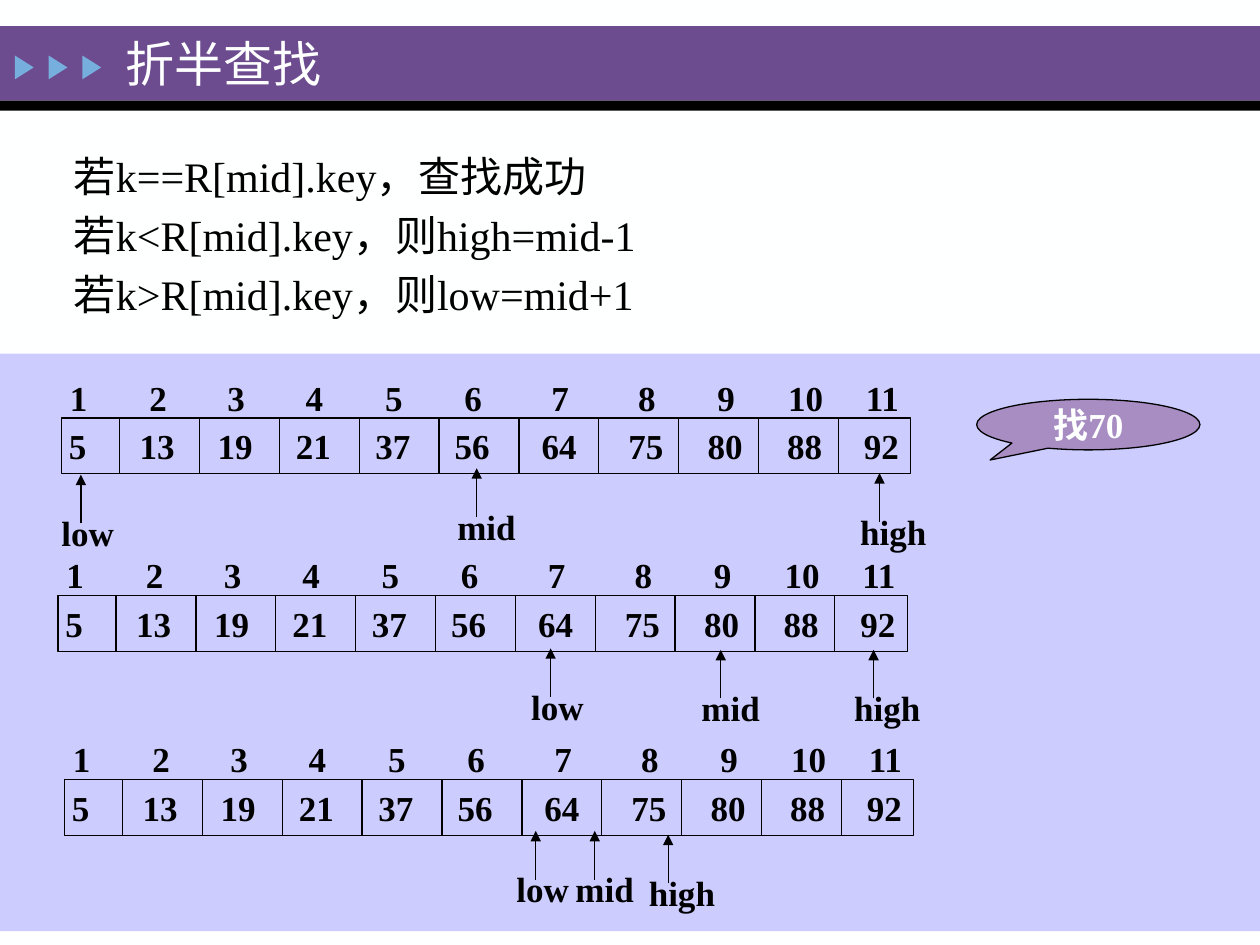
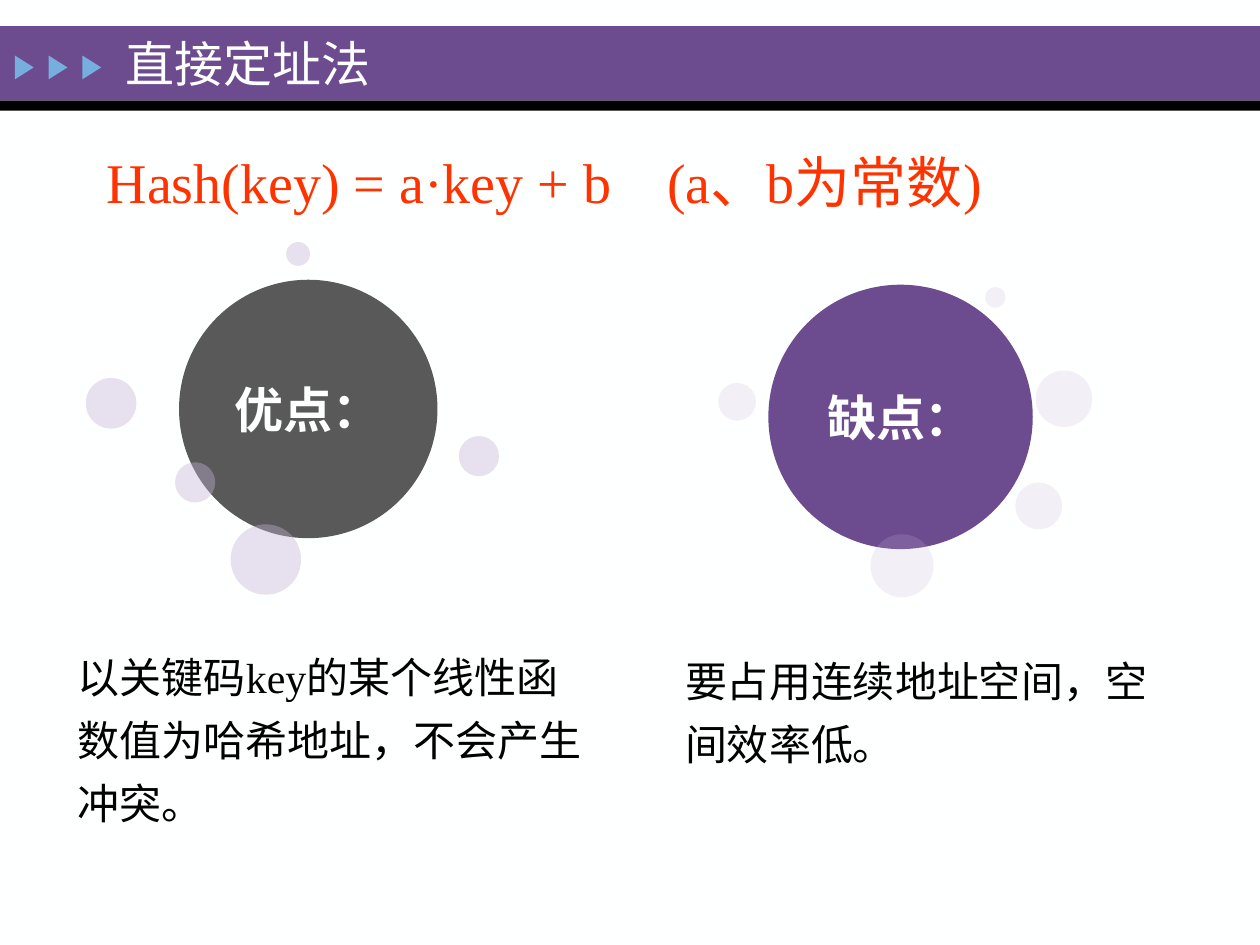
from lxml.etree import SubElement
from pptx import Presentation
from pptx.dml.color import RGBColor
from pptx.enum.shapes import MSO_CONNECTOR, MSO_SHAPE as SHAPE
from pptx.enum.text import MSO_ANCHOR as ANCHOR, PP_ALIGN as ALIGN
from pptx.oxml.ns import qn
from pptx.util import Cm, Pt

# Content
SEARCH_TITLE = "折半查找"
RULES = [
    "若k==R[mid].key，查找成功",
    "若k<R[mid].key，则high=mid-1",
    "若k>R[mid].key，则low=mid+1",
]
KEYS = [5, 13, 19, 21, 37, 56, 64, 75, 80, 88, 92]
SOUGHT = "找70"
# Each step: left and top of the cells, then left and top of each pointer label
STEPS = [
    ((1.24, 8.43), {"low": (0.99, 10.19), "high": (17.09, 10.16), "mid": (8.97, 10.06)}),
    ((1.17, 12.01), {"low": (10.46, 13.69), "high": (16.97, 13.72), "mid": (13.89, 13.72)}),
    ((1.3, 15.72), {"low": (10.16, 17.37), "high": (12.83, 17.45), "mid": (11.35, 17.37)}),
]

HASH_TITLE = "直接定址法"
FORMULA = "Hash(key) = a·key + b\t(a、b为常数)"
# Circles and bubbles: left, top, diameter
ASPECTS = [
    {
        "heading": "缺点：", "fill": "purple", "circle": (15.49, 5.74, 5.33), "opacity": 20,
        "bubbles": [(14.48, 7.72, 0.76), (17.55, 10.77, 1.27), (19.86, 5.79, 0.41),
                    (20.47, 9.73, 0.94), (20.88, 7.47, 1.14)],
        "text": "要占用连续地址空间，空间效率低。", "text_at": (13.56, 12.83, 10.52, 2.69),
    },
    {
        "heading": "优点：", "fill": "grey", "circle": (3.61, 5.64, 5.21), "opacity": 40,
        "bubbles": [(9.25, 8.79, 0.81), (3.53, 9.32, 0.81), (4.65, 10.57, 1.42),
                    (5.77, 4.88, 0.48), (1.73, 7.62, 1.02)],
        "text": "以关键码key的某个线性函数值为哈希地址，不会产生冲突。",
        "text_at": (1.32, 12.75, 10.72, 3.99),
    },
]

# Style
FONT = "Times New Roman"
COLORS = {
    "paper": "FEFFFF", "black": "000000", "purple": "6C4C8F", "sky": "76AEDD",
    "panel": "CCCCFF", "callout": "A78DC2", "grey": "595959", "bubble": "C4B3D7",
    "red": "FF3300",
}
WIDTH, HEIGHT = 25.4, 19.05
CELLS_WIDTH, CELLS_HEIGHT = 17.12, 1.12
FIRST_DIVIDER, DIVIDER_STEP = 1.17, 1.61
KEY_TABS = [1.78, 3.35, 4.93, 6.53, 8.13, 9.88, 11.63, 13.23, 14.83, 16.38]
FORMULA_TAB = 11.3
LABEL_WIDTHS = {"low": 1.57, "mid": 1.68, "high": 1.85}
LABEL_HEIGHT = 1.09
ARROW_INSET, ARROW_DROP, ARROW_LENGTH = 0.64, 0.36, 0.98


def color(name):
    return RGBColor.from_string(COLORS[name])


def add_shape(page, kind, at, fill=None, line=None):
    shape = page.shapes.add_shape(kind, *map(Cm, at))
    shape.shadow.inherit = False
    if fill:
        shape.fill.solid()
        shape.fill.fore_color.rgb = color(fill)
    else:
        shape.fill.background()
    if line:
        shape.line.color.rgb = color(line)
        shape.line.width = Pt(0.75)
    else:
        shape.line.fill.background()
    return shape


def add_line(page, start, end, arrow=False):
    line = page.shapes.add_connector(MSO_CONNECTOR.STRAIGHT, *map(Cm, (*start, *end)))
    line.line.color.rgb = color("black")
    line.line.width = Pt(0.75)
    if arrow:
        SubElement(line.line._get_or_add_ln(), qn("a:tailEnd"), type="triangle")
    SubElement(line._element.spPr, qn("a:effectLst"))


def write(shape, lines, size, ink="black", bold=False, align=ALIGN.LEFT,
          anchor=ANCHOR.TOP, wrap=True, before=None, spacing=None, tabs=(), tab_align="ctr"):
    frame = shape.text_frame
    frame.word_wrap = wrap
    frame.vertical_anchor = anchor
    for number, text in enumerate(lines):
        para = frame.add_paragraph() if number else frame.paragraphs[0]
        para.text = text
        para.alignment = align
        if spacing:
            para.line_spacing = spacing
        if before:
            para.space_before = Pt(before)
        if tabs:
            stops = SubElement(para._p.get_or_add_pPr(), qn("a:tabLst"))
            for tab in tabs:
                SubElement(stops, qn("a:tab"), pos=str(int(Cm(tab))), algn=tab_align)
        para.font.name = FONT
        para.font.size = Pt(size)
        para.font.bold = bold
        para.font.color.rgb = color(ink)


def add_text(page, at, lines, size, **style):
    box = page.shapes.add_textbox(*map(Cm, at))
    write(box, lines, size, **style)
    return box


def set_insets(shape, left=0, right=0):
    frame = shape.text_frame
    frame.margin_left, frame.margin_right = Cm(left), Cm(right)


def add_page(deck, title):
    page = deck.slides.add_slide(deck.slide_layouts[6])
    add_shape(page, SHAPE.RECTANGLE, (0, 0.53, WIDTH, 1.5), "purple")
    add_shape(page, SHAPE.RECTANGLE, (0, 2.03, WIDTH, 0.2), "black")
    for number in range(3):
        marker = add_shape(page, SHAPE.ISOSCELES_TRIANGLE,
                           (0.25 + 0.68 * number, 1.17, 0.48, 0.38), "sky")
        marker.rotation = 90
    add_text(page, (2.29, 0.56, 11.96, 1.42), [title], 28, ink="paper", anchor=ANCHOR.MIDDLE)
    return page


def add_step(page, left, top, pointers):
    # Positions above, keys inside the cells
    positions = range(1, len(KEYS) + 1)
    index = add_text(page, (left - 0.08, top - 0.97, 17.27, 1.09),
                     ["\t".join(map(str, positions))], 20, bold=True, tabs=KEY_TABS)
    set_insets(index, left=0.25)
    cells = add_shape(page, SHAPE.RECTANGLE, (left, top, CELLS_WIDTH, CELLS_HEIGHT), line="black")
    write(cells, ["\t".join(map(str, KEYS))], 20, bold=True, anchor=ANCHOR.MIDDLE, tabs=KEY_TABS)
    set_insets(cells, left=0.15)
    for number in range(len(KEYS) - 1):
        x = left + FIRST_DIVIDER + DIVIDER_STEP * number
        add_line(page, (x, top), (x, top + CELLS_HEIGHT))
    # Pointers
    for name, (label_left, label_top) in pointers.items():
        x, y = label_left + ARROW_INSET, label_top + ARROW_DROP
        add_line(page, (x, y), (x, y - ARROW_LENGTH), arrow=True)
        add_text(page, (label_left, label_top, LABEL_WIDTHS[name], LABEL_HEIGHT),
                 [name], 20, bold=True, wrap=False)


def build_search(deck):
    page = add_page(deck, SEARCH_TITLE)
    add_shape(page, SHAPE.RECTANGLE, (0, 7.13, WIDTH, 11.64), "panel")
    for (left, top), pointers in STEPS:
        add_step(page, left, top, pointers)
    callout = add_shape(page, SHAPE.OVAL_CALLOUT, (19.69, 8.05, 4.5, 1.02), "callout", "black")
    callout.adjustments[0], callout.adjustments[1] = -0.44, 0.7
    write(callout, [SOUGHT], 20, ink="paper", bold=True, align=ALIGN.CENTER,
          anchor=ANCHOR.MIDDLE, wrap=False)
    add_text(page, (1.24, 2.79, 14.02, 3.89), RULES, 24, anchor=ANCHOR.MIDDLE, before=5)


def build_hash(deck):
    page = add_page(deck, HASH_TITLE)
    add_text(page, (1.9, 2.51, 22.81, 1.8), [FORMULA], 32, ink="red", spacing=1.25,
             tabs=[FORMULA_TAB], tab_align="l")
    for aspect in ASPECTS:
        add_text(page, aspect["text_at"], [aspect["text"]], 24, spacing=1.25)
        left, top, size = aspect["circle"]
        circle = add_shape(page, SHAPE.OVAL, (left, top, size, size), aspect["fill"])
        write(circle, [aspect["heading"]], 28, ink="paper", bold=True, align=ALIGN.CENTER,
              anchor=ANCHOR.MIDDLE, wrap=False)
        set_insets(circle)
        for left, top, size in aspect["bubbles"]:
            bubble = add_shape(page, SHAPE.OVAL, (left, top, size, size), "bubble")
            tint = bubble._element.spPr.find(qn("a:solidFill"))[0]
            SubElement(tint, qn("a:alpha"), val=str(aspect["opacity"] * 1000))


def main():
    deck = Presentation()
    deck.slide_width, deck.slide_height = Cm(WIDTH), Cm(HEIGHT)
    backdrop = deck.slide_master.background.fill
    backdrop.solid()
    backdrop.fore_color.rgb = color("paper")
    build_search(deck)
    build_hash(deck)
    deck.save("out.pptx")


if __name__ == "__main__":
    main()
